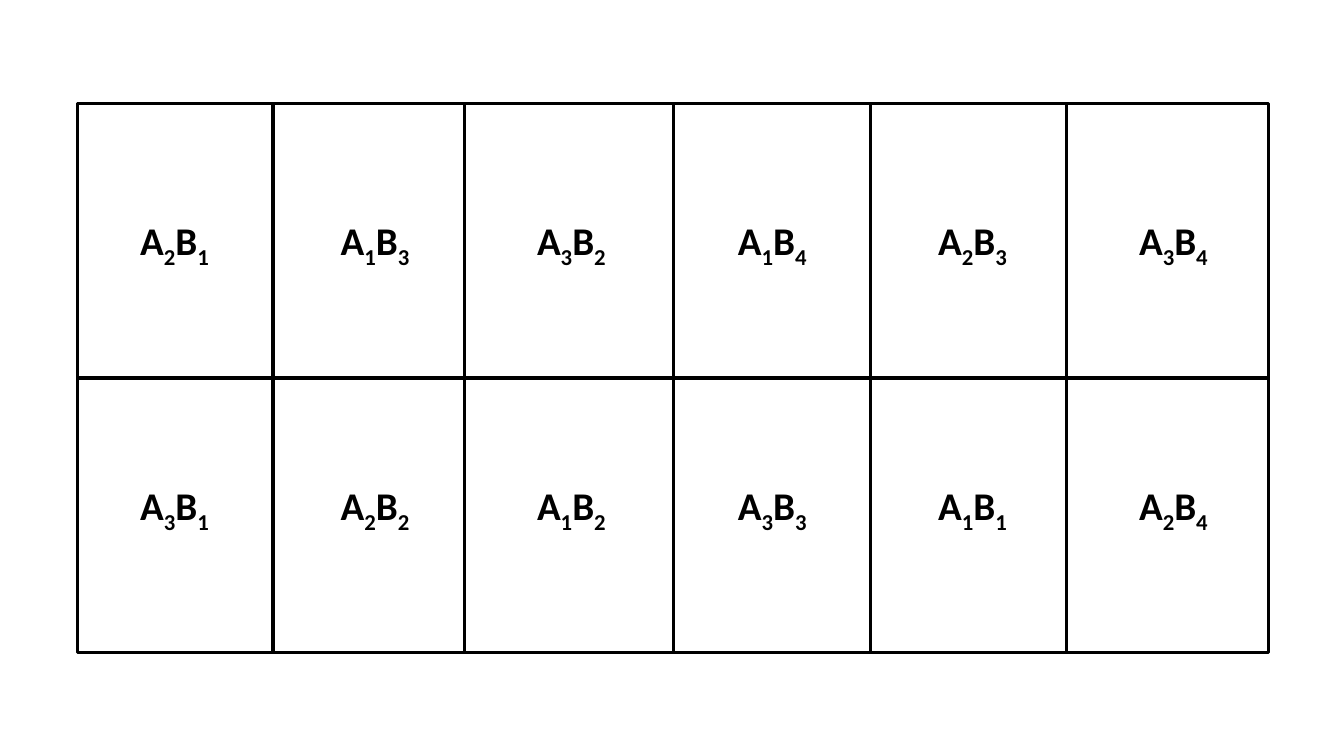
from lxml import etree
from pptx import Presentation
from pptx.dml.color import RGBColor
from pptx.enum.shapes import MSO_CONNECTOR, MSO_SHAPE
from pptx.enum.text import MSO_AUTO_SIZE
from pptx.oxml.ns import qn
from pptx.util import Pt

RECT = MSO_SHAPE.RECTANGLE
STRAIGHT = MSO_CONNECTOR.STRAIGHT
GROW = MSO_AUTO_SIZE.SHAPE_TO_FIT_TEXT
BLACK = RGBColor(0, 0, 0)


class Deck:
    font = "Calibri"
    line_width = 2.25

    def __init__(self, width, height):
        self.prs = Presentation()
        self.prs.slide_width, self.prs.slide_height = Pt(width), Pt(height)
        self.s = self.prs.slides.add_slide(self.prs.slide_layouts[6])

    def stroke(self, sp):
        sp.line.color.rgb = BLACK
        sp.line.width = Pt(self.line_width)

    def frame(self, x, y, w, h):
        sp = self.s.shapes.add_shape(RECT, Pt(x), Pt(y), Pt(w), Pt(h))
        sp.shadow.inherit = False
        sp.fill.background()
        self.stroke(sp)

    def line(self, x1, y1, x2, y2):
        sp = self.s.shapes.add_connector(STRAIGHT, Pt(x1), Pt(y1), Pt(x2), Pt(y2))
        self.stroke(sp)
        etree.SubElement(sp._element.spPr, qn("a:effectLst"))

    def label(self, text, x, y, w, h, size=28, bold=True, color=BLACK):
        """Write text with its digits as subscripts."""
        sp = self.s.shapes.add_textbox(Pt(x), Pt(y), Pt(w), Pt(h))
        tf = sp.text_frame
        tf.word_wrap = False
        tf.auto_size = GROW
        p = tf.paragraphs[0]
        for char in text:
            r = p.add_run()
            r.text = char
            r.font.name, r.font.size = self.font, Pt(size)
            r.font.bold, r.font.color.rgb = bold, color
            if char.isdigit():
                r.font._element.set("baseline", "-25000")


deck = Deck(960, 540)

# Outer frame and dividers
LEFT, TOP, WIDTH, HEIGHT = 55.4, 74, 851, 392
RIGHT, BOTTOM = LEFT + WIDTH, TOP + HEIGHT
MIDDLE = TOP + HEIGHT / 2
deck.frame(LEFT, TOP, WIDTH, HEIGHT)
for x in (195, 332, 481, 621.5, 762):
    deck.line(x, TOP, x, BOTTOM)
deck.line(LEFT, MIDDLE, RIGHT, MIDDLE)

# Treatment combinations
LABEL_XS = (93, 236.3, 376.5, 520, 663, 806.5)
PLOT_ROWS = {
    151.2: ("A2B1", "A1B3", "A3B2", "A1B4", "A2B3", "A3B4"),
    340.2: ("A3B1", "A2B2", "A1B2", "A3B3", "A1B1", "A2B4"),
}
for y, treatments in PLOT_ROWS.items():
    for x, treatment in zip(LABEL_XS, treatments):
        deck.label(treatment, x, y, 64.5, 41)

deck.prs.save("out.pptx")
